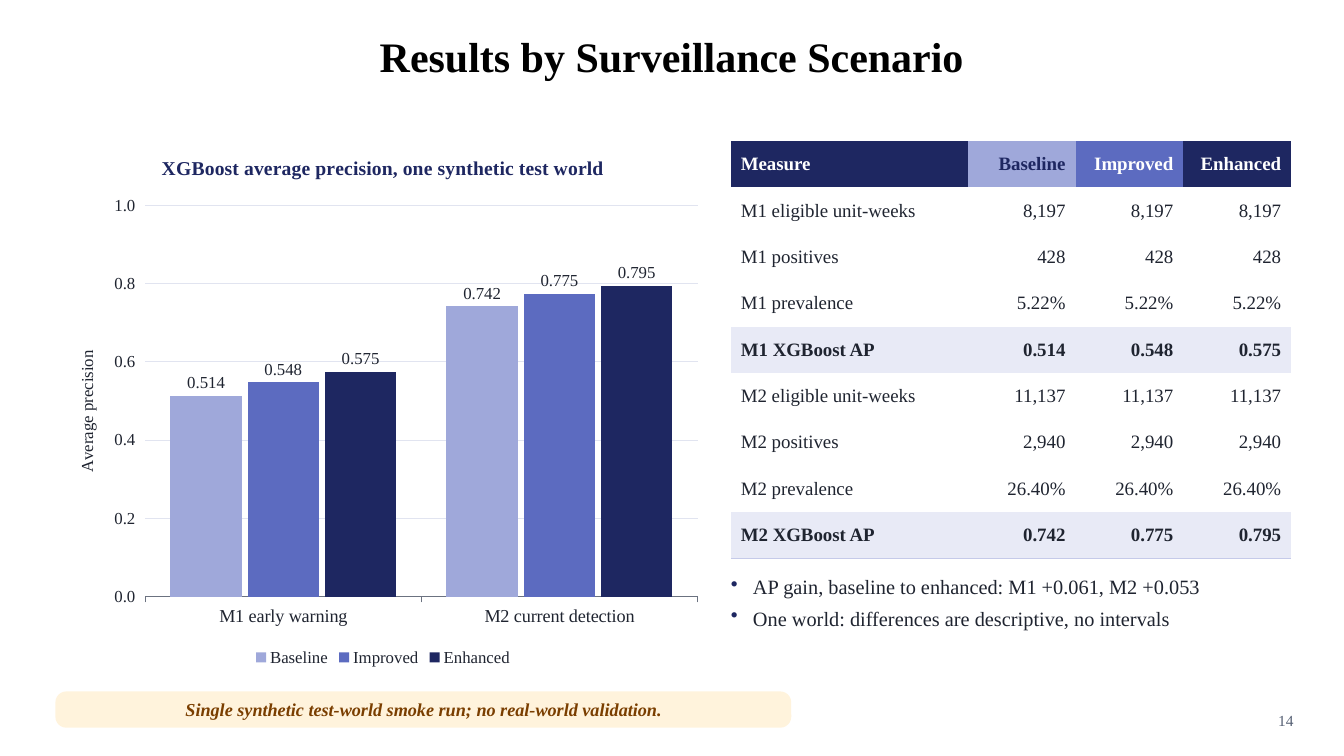
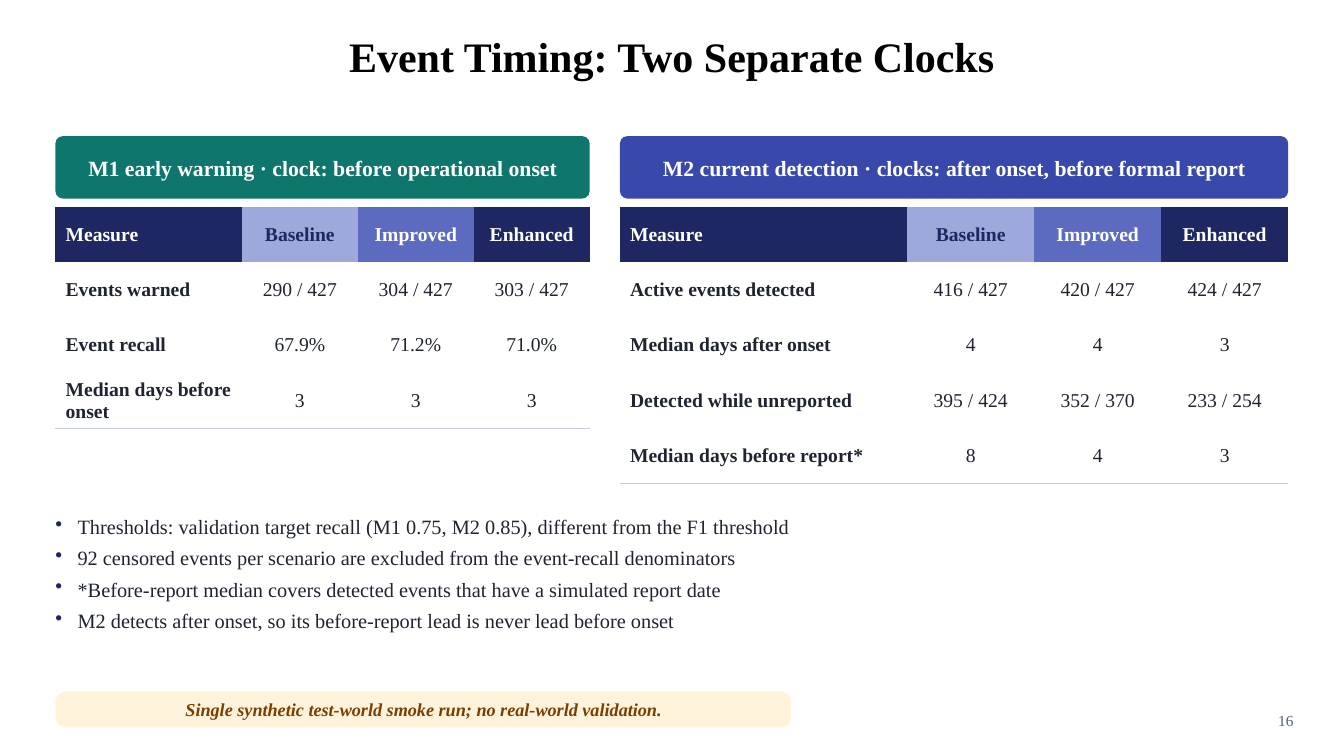
from pptx import Presentation
from pptx.chart.data import CategoryChartData
from pptx.dml.color import RGBColor
from pptx.enum.chart import XL_CHART_TYPE, XL_LABEL_POSITION, XL_LEGEND_POSITION, XL_TICK_MARK
from pptx.enum.shapes import MSO_SHAPE
from pptx.enum.text import MSO_ANCHOR, PP_ALIGN
from pptx.oxml import parse_xml
from pptx.oxml.ns import nsdecls, qn
from pptx.util import Inches, Pt

COLUMN = XL_CHART_TYPE.COLUMN_CLUSTERED
OUTER = XL_LABEL_POSITION.OUTSIDE_END
BELOW = XL_LEGEND_POSITION.BOTTOM
TICK = XL_TICK_MARK.OUTSIDE
ROUND = MSO_SHAPE.ROUNDED_RECTANGLE
TOP, MIDDLE = MSO_ANCHOR.TOP, MSO_ANCHOR.MIDDLE
LEFT, CENTER, RIGHT = PP_ALIGN.LEFT, PP_ALIGN.CENTER, PP_ALIGN.RIGHT

FONT = "Times New Roman"
WHITE = RGBColor(0xFF, 0xFF, 0xFF)
BLACK = RGBColor(0x00, 0x00, 0x00)
INK = RGBColor(0x1F, 0x24, 0x30)
NAVY = RGBColor(0x1E, 0x27, 0x61)
BLUE = RGBColor(0x5C, 0x6B, 0xC0)
PALE = RGBColor(0x9F, 0xA8, 0xDA)
TINT = RGBColor(0xE8, 0xEA, 0xF6)
RULE = RGBColor(0xC5, 0xCA, 0xE9)
GRID = RGBColor(0xE1, 0xE4, 0xF0)
AXIS = RGBColor(0x6B, 0x72, 0x80)
GRAY = RGBColor(0x56, 0x60, 0x74)
CREAM = RGBColor(0xFF, 0xF3, 0xDC)
BROWN = RGBColor(0x7A, 0x3E, 0x00)
TEAL = RGBColor(0x0F, 0x76, 0x6E)
INDIGO = RGBColor(0x39, 0x49, 0xAB)

CELL = Inches(0.1)
WIDE, HIGH = 133.33, 75
EDGE = 5.5
BODY = 13.5
GAP = 3
BANNER = 6.2
HEAD = [("Measure", NAVY, WHITE), ("Baseline", PALE, NAVY),
        ("Improved", BLUE, WHITE), ("Enhanced", NAVY, WHITE)]
NOTE = "Single synthetic test-world smoke run; no real-world validation."


def place(box):
    """Turn grid columns and rows into slide lengths."""
    return [round(n * CELL) for n in box]


def style(font, size, color, bold=False, italic=False):
    """Set the look of a font."""
    font.name, font.size, font.bold, font.italic = FONT, Pt(size), bold, italic
    font.color.rgb = color


def write(para, text, align, *look):
    """Add one styled run to a paragraph."""
    para.alignment = align
    run = para.add_run()
    run.text = text
    style(run.font, *look)


def frame(slide, box, anchor=TOP):
    """Add a wrapped text box without insets."""
    text = slide.shapes.add_textbox(*place(box)).text_frame
    text.word_wrap = True
    text.vertical_anchor = anchor
    text.margin_left = text.margin_right = text.margin_top = text.margin_bottom = 0
    return text


def band(slide, box, text, fill, curve, *look):
    """Add a rounded band with centred text."""
    shape = slide.shapes.add_shape(ROUND, *place(box))
    shape.adjustments[0] = curve
    shape.shadow.inherit = False
    shape.fill.solid()
    shape.fill.fore_color.rgb = fill
    shape.line.fill.background()
    body = shape.text_frame
    body.word_wrap = True
    body.vertical_anchor = MIDDLE
    body.margin_left = body.margin_right = Inches(0.15)
    body.margin_top = body.margin_bottom = Inches(0.05)
    write(body.paragraphs[0], text, CENTER, *look)


def base(deck, title, page):
    """Add a slide with its title, page number and note band."""
    slide = deck.slides.add_slide(deck.slide_layouts[6])
    span = 86.3
    top = frame(slide, ((WIDE - span) / 2, 2, span, 7), MIDDLE)
    write(top.paragraphs[0], title, CENTER, 30, BLACK, True)
    foot = frame(slide, (WIDE - 10, HIGH - 4.5, 5, 2.5))
    write(foot.paragraphs[0], str(page), RIGHT, 11, GRAY)
    band(slide, (EDGE, HIGH - 6.4, 73, 3.6), NOTE, CREAM, 0.3, 13, BROWN, True, True)
    return slide


def bullets(slide, box, lines):
    """Add a bulleted list."""
    text = frame(slide, box)
    for i, line in enumerate(lines):
        para = text.add_paragraph() if i else text.paragraphs[0]
        props = para._p.get_or_add_pPr()
        props.set("marL", str(Inches(0.22)))
        props.set("indent", str(-Inches(0.22)))
        props.append(parse_xml(
            f'<a:buClr {nsdecls("a")}><a:srgbClr val="{NAVY}"/></a:buClr>'))
        props.append(parse_xml(f'<a:buChar {nsdecls("a")} char="•"/>'))
        para.space_after = Pt(5)
        write(para, line, LEFT, 14.5, INK)


def fill(cell, text, paint, align, *look):
    """Fill one table cell."""
    cell.fill.solid()
    cell.fill.fore_color.rgb = paint
    cell.vertical_anchor = MIDDLE
    cell.margin_left = cell.margin_right = Inches(0.1)
    cell.margin_top = cell.margin_bottom = Inches(0.04)
    write(cell.text_frame.paragraphs[0], text, align, *look)


def table(slide, box, first, rows, size, align, lead=False, key=None):
    """Add a measure table with a coloured head and a rule below."""
    x, y, w, h = box
    count = len(HEAD)
    grid = slide.shapes.add_table(len(rows) + 1, count, *place(box)).table
    grid.first_row = grid.horz_banding = False
    grid._tbl.tblPr.find(qn("a:tableStyleId")).text = "{2D5ABB26-0587-4C30-8999-92F81FD0307C}"
    for c, (name, paint, ink) in enumerate(HEAD):
        side = align if c else LEFT
        grid.columns[c].width = round(CELL * ((w - first) / (count - 1) if c else first))
        fill(grid.cell(0, c), name, paint, side, size, ink, True)
        for r, row in enumerate(rows, 1):
            main = key is not None and key in row[0]
            fill(grid.cell(r, c), row[c], TINT if main else WHITE, side,
                 size, INK, main or (lead and c == 0))
        last = grid.cell(len(rows), c)._tc.get_or_add_tcPr()
        last.insert(0, parse_xml(
            f'<a:lnB {nsdecls("a")} w="{Pt(0.75)}"><a:solidFill>'
            f'<a:srgbClr val="{RULE}"/></a:solidFill></a:lnB>'))


def chart(slide, box, title, unit, cats, series):
    """Add a clustered column chart."""
    data = CategoryChartData()
    data.categories = cats
    for name, vals, _ in series:
        data.add_series(name, vals)
    graph = slide.shapes.add_chart(COLUMN, *place(box), data).chart
    style(graph.font, 12, INK)
    graph.has_title = True
    write(graph.chart_title.text_frame.paragraphs[0], title, CENTER, 14, NAVY, True)
    graph.has_legend = True
    graph.legend.position = BELOW
    graph.legend.include_in_layout = False
    style(graph.legend.font, 12, INK)

    across = graph.category_axis
    across.major_tick_mark = TICK
    style(across.tick_labels.font, 13, INK)
    across.format.line.color.rgb = AXIS
    across.format.line.width = Pt(0.75)

    up = graph.value_axis
    up.minimum_scale, up.maximum_scale, up.major_unit = 0, 1, 0.2
    up.major_tick_mark = TICK
    up.tick_labels.number_format = "0.0"
    up.tick_labels.number_format_is_linked = False
    style(up.tick_labels.font, 12, INK)
    up.format.line.fill.background()
    up.major_gridlines.format.line.color.rgb = GRID
    up.major_gridlines.format.line.width = Pt(0.75)
    label = up.axis_title.text_frame
    label._txBody.bodyPr.set("rot", "-5400000")
    label._txBody.bodyPr.set("vert", "horz")
    write(label.paragraphs[0], unit, CENTER, 12, INK)

    plot = graph.plots[0]
    plot.vary_by_categories = False
    plot.gap_width, plot.overlap = 70, -8
    for bar, (_, _, paint) in zip(plot.series, series):
        bar.format.fill.solid()
        bar.format.fill.fore_color.rgb = paint
        marks = bar.data_labels
        marks.show_value = True
        marks.position = OUTER
        marks.number_format = "0.000"
        marks.number_format_is_linked = False
        style(marks.font, 12, INK)


def panel(slide, box, title, paint, first, rows):
    """Add a banner with its event table below."""
    x, y, w, pitch = box
    band(slide, (x, y, w, BANNER), title, paint, 0.12, 15.5, WHITE, True)
    table(slide, (x, y + BANNER + 0.8, w, pitch * (len(rows) + 1)),
          first, rows, 14, CENTER, lead=True)


def results(deck):
    """Build the slide of results by scenario."""
    slide = base(deck, "Results by Surveillance Scenario", 14)
    scores = [(0.514, 0.742), (0.548, 0.775), (0.575, 0.795)]
    chart(slide, (EDGE, BODY, 65, 53),
          "XGBoost average precision, one synthetic test world", "Average precision",
          ["M1 early warning", "M2 current detection"],
          [(name, vals, paint) for (name, paint, _), vals in zip(HEAD[1:], scores)])
    rows = []
    for i, (tag, *counts) in enumerate([("M1", "8,197", "428", "5.22%"),
                                        ("M2", "11,137", "2,940", "26.40%")]):
        for name, count in zip(("eligible unit-weeks", "positives", "prevalence"), counts):
            rows.append([f"{tag} {name}"] + [count] * 3)
        rows.append([f"{tag} XGBoost AP"] + [f"{pair[i]:.3f}" for pair in scores])
    x = 72.5
    table(slide, (x, 14, 55.6, 4.6 * (len(rows) + 1)), 23.5, rows, 13.5, RIGHT, key="XGBoost")
    bullets(slide, (x, 57, 55.5, 10), [
        "AP gain, baseline to enhanced: M1 +0.061, M2 +0.053",
        "One world: differences are descriptive, no intervals"])


def timing(deck):
    """Build the slide of event timing."""
    slide = base(deck, "Event Timing: Two Separate Clocks", 16)
    left, right, pitch = 53, 66.3, 5.5
    panel(slide, (EDGE, BODY, left, pitch),
          "M1 early warning · clock: before operational onset", TEAL, 18.5, [
              ("Events warned", "290 / 427", "304 / 427", "303 / 427"),
              ("Event recall", "67.9%", "71.2%", "71.0%"),
              ("Median days before onset", "3", "3", "3")])
    panel(slide, (EDGE + left + GAP, BODY, right, pitch),
          "M2 current detection · clocks: after onset, before formal report", INDIGO, 28.5, [
              ("Active events detected", "416 / 427", "420 / 427", "424 / 427"),
              ("Median days after onset", "4", "4", "3"),
              ("Detected while unreported", "395 / 424", "352 / 370", "233 / 254"),
              ("Median days before report*", "8", "4", "3")])
    bullets(slide, (EDGE, 51, left + GAP + right, 17), [
        "Thresholds: validation target recall (M1 0.75, M2 0.85), different from the F1 threshold",
        "92 censored events per scenario are excluded from the event-recall denominators",
        "*Before-report median covers detected events that have a simulated report date",
        "M2 detects after onset, so its before-report lead is never lead before onset"])


def main():
    """Build and save the deck."""
    deck = Presentation()
    deck.slide_width, deck.slide_height = place((WIDE, HIGH))
    results(deck)
    timing(deck)
    deck.save("out.pptx")


if __name__ == "__main__":
    main()
